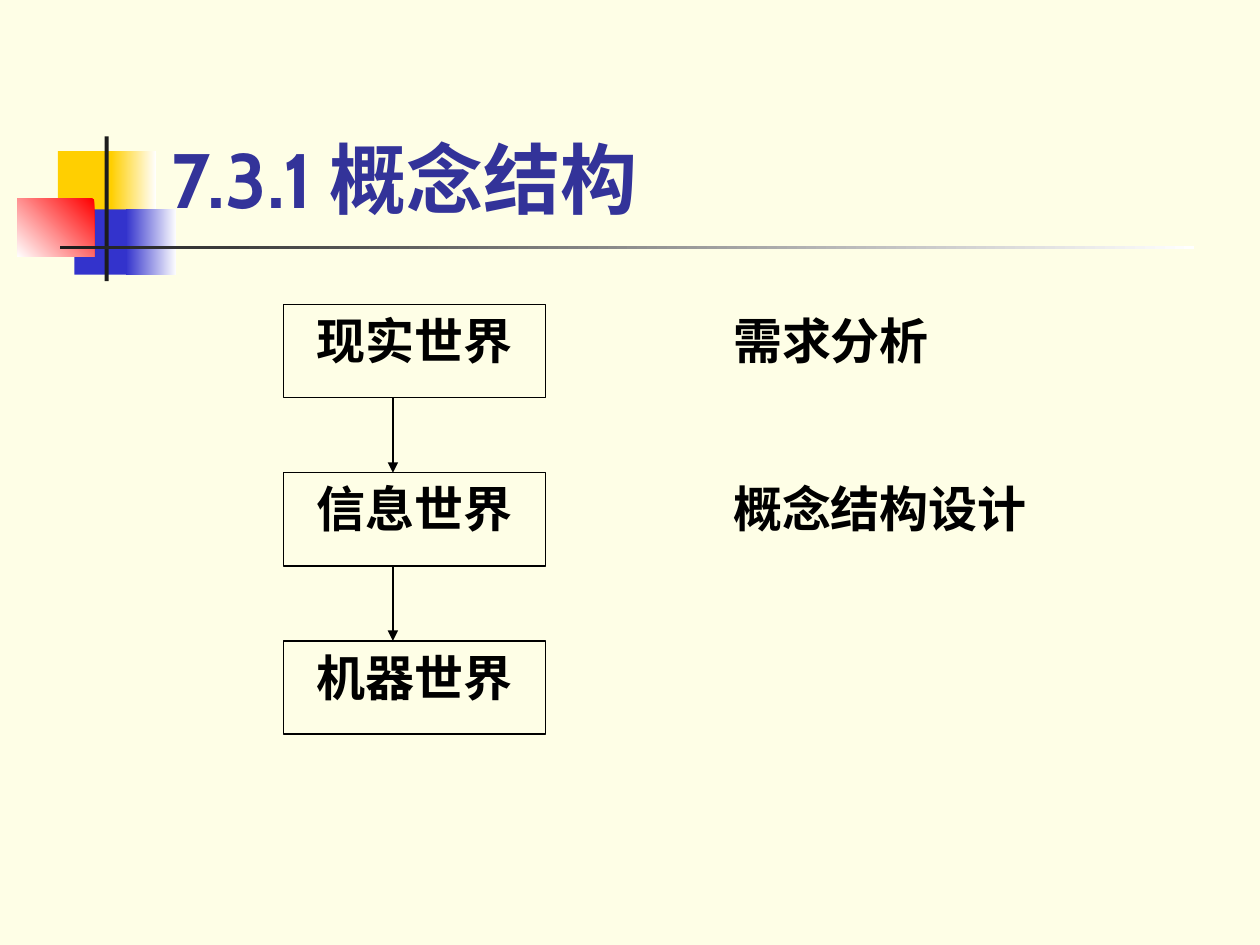
from lxml import etree
from pptx import Presentation
from pptx.dml.color import RGBColor
from pptx.enum.shapes import MSO_CONNECTOR, MSO_SHAPE
from pptx.enum.text import MSO_ANCHOR, MSO_AUTO_SIZE, PP_ALIGN
from pptx.oxml.ns import qn
from pptx.util import Cm, Pt

RECTANGLE = MSO_SHAPE.RECTANGLE
STRAIGHT = MSO_CONNECTOR.STRAIGHT
TOP, BOTTOM = MSO_ANCHOR.TOP, MSO_ANCHOR.BOTTOM
LEFT, CENTER, JUSTIFY = PP_ALIGN.LEFT, PP_ALIGN.CENTER, PP_ALIGN.JUSTIFY
NO_AUTOFIT = MSO_AUTO_SIZE.NONE

WHITE, BLACK, DARK = "FFFFFF", "000000", "1C1C1C"
YELLOW, BLUE, RED = "FFCF01", "3333CC", "FF0000"
CREAM, NAVY = "FEFEE6", "333399"

DECORATION = [
    ((1.17, 3.05, 1.22, 1.32), (YELLOW,), 0),
    ((2.24, 3.05, 0.91, 1.32), (WHITE, YELLOW), 180),
    ((1.5, 4.22, 1.17, 1.32), (BLUE,), 0),
    ((2.54, 4.22, 1.02, 1.32), (WHITE, BLUE), 180),
    ((0.35, 4.01, 1.55, 1.17), (RED, WHITE), 135),
    ((2.11, 2.75, 0.08, 2.92), (DARK,), 0),
    ((1.22, 4.95, 22.86, 0.08), (WHITE, DARK), 180),
]
WORLDS = ["现实世界", "信息世界", "机器世界"]
PHASES = [("需求分析", 4.85), ("概念结构设计", 7.49)]

FLOW_TOP, FLOW_STEP = 6.14, 3.39
BOX_LEFT, BOX_WIDTH, BOX_HEIGHT = 5.72, 5.28, 1.88
ARROW_X, PHASE_LEFT, PHASE_HEIGHT = 7.92, 14.53, 1.5

TITLE_FONT = {"name": "Cabin", "size": Pt(44), "bold": True}
FLOW_FONT = {"name": "Times New Roman", "size": Pt(28), "bold": True}


def rgb(value):
    return RGBColor.from_string(value)


class SlideBuilder:
    def __init__(self, slide):
        self.slide = slide
        self.shapes = slide.shapes

    def background(self, color):
        fill = self.slide.background.fill
        fill.solid()
        fill.fore_color.rgb = rgb(color)

    def set_text(self, shape, text, font, color, alignment, anchor=TOP):
        frame = shape.text_frame
        frame.text = text
        frame.auto_size = NO_AUTOFIT
        frame.word_wrap = True
        frame.vertical_anchor = anchor
        paragraph = frame.paragraphs[0]
        paragraph.alignment = alignment
        for name, value in font.items():
            setattr(paragraph.font, name, value)
        paragraph.font.color.rgb = rgb(color)

    def title(self, text, area):
        shape = self.shapes.title
        shape.left, shape.top, shape.width, shape.height = map(Cm, area)
        self.set_text(shape, text, TITLE_FONT, NAVY, LEFT, BOTTOM)
        self.shapes._spTree.append(shape._element)

    def rectangle(self, area):
        shape = self.shapes.add_shape(RECTANGLE, *map(Cm, area))
        shape.shadow.inherit = False
        return shape

    def block(self, area, colors, angle):
        shape = self.rectangle(area)
        shape.line.fill.background()
        if len(colors) == 1:
            shape.fill.solid()
            shape.fill.fore_color.rgb = rgb(colors[0])
            return
        shape.fill.gradient()
        shape.fill.gradient_angle = 360 - angle
        for stop, color in zip(shape.fill.gradient_stops, colors):
            stop.color.rgb = rgb(color)

    def box(self, text, area):
        shape = self.rectangle(area)
        shape.fill.background()
        shape.line.color.rgb = rgb(BLACK)
        shape.line.width = Pt(0.75)
        self.set_text(shape, text, FLOW_FONT, BLACK, CENTER)

    def label(self, text, area):
        shape = self.shapes.add_textbox(*map(Cm, area))
        self.set_text(shape, text, FLOW_FONT, BLACK, JUSTIFY)

    def arrow(self, x, start, end):
        connector = self.shapes.add_connector(
            STRAIGHT, Cm(x), Cm(start), Cm(x), Cm(end))
        connector.line.color.rgb = rgb(BLACK)
        connector.line.width = Pt(0.75)
        properties = connector._element.spPr
        line = properties.find(qn("a:ln"))
        etree.SubElement(line, qn("a:tailEnd"), type="triangle")
        etree.SubElement(properties, qn("a:effectLst"))


def main():
    presentation = Presentation()
    presentation.slide_width = Cm(25.4)
    presentation.slide_height = Cm(19.05)
    slide = presentation.slides.add_slide(presentation.slide_layouts[5])
    builder = SlideBuilder(slide)
    builder.background(CREAM)
    for area, colors, angle in DECORATION:
        builder.block(area, colors, angle)
    builder.title("7.3.1 概念结构", (3.2, 0.58, 21.64, 4.06))

    tops = [FLOW_TOP + FLOW_STEP * row for row in range(len(WORLDS))]
    for world, top in zip(WORLDS, tops):
        builder.box(world, (BOX_LEFT, top, BOX_WIDTH, BOX_HEIGHT))
    for top, next_top in zip(tops, tops[1:]):
        builder.arrow(ARROW_X, top + BOX_HEIGHT, next_top)
    for (phase, width), top in zip(PHASES, tops):
        builder.label(phase, (PHASE_LEFT, top, width, PHASE_HEIGHT))
    presentation.save("out.pptx")


if __name__ == "__main__":
    main()
